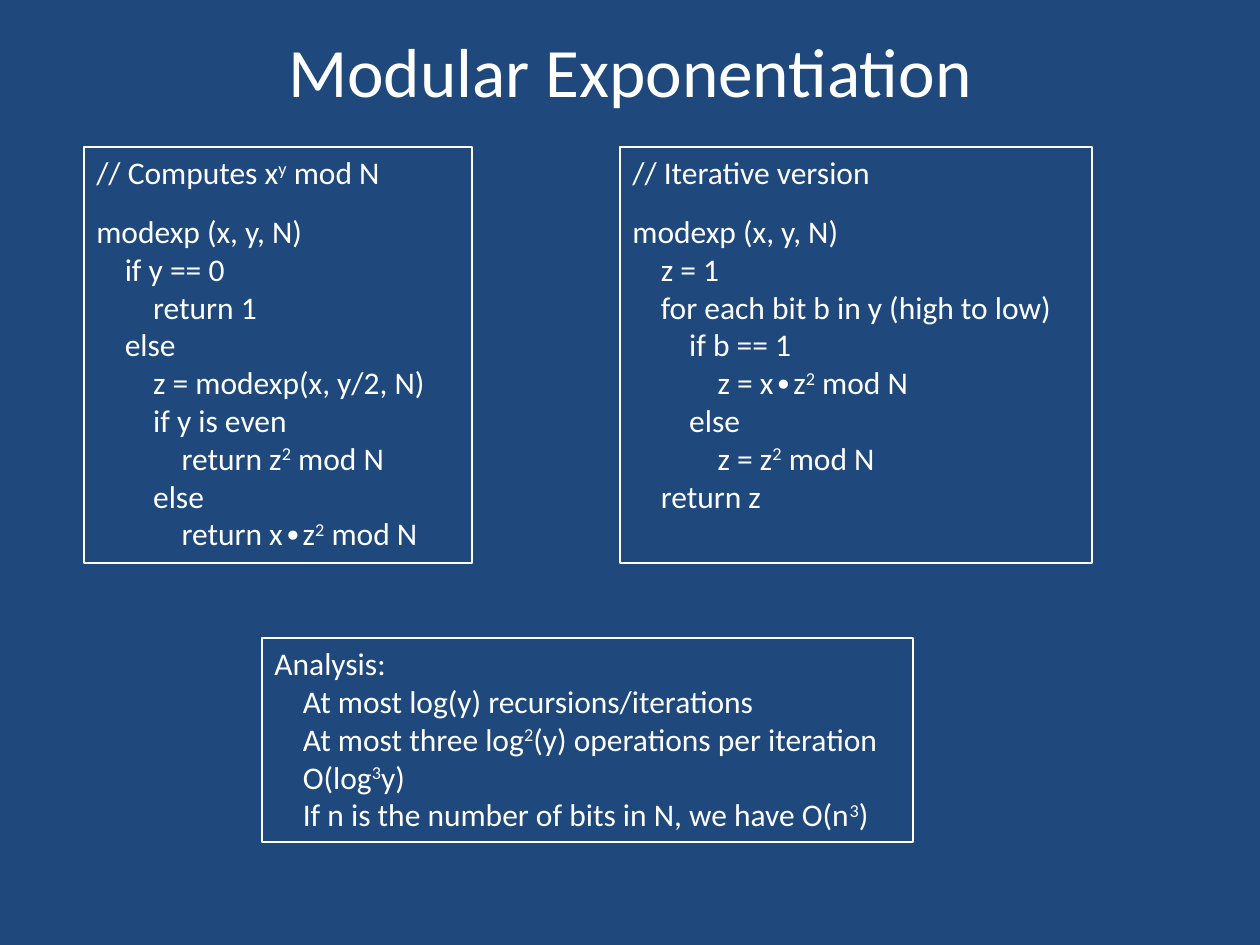
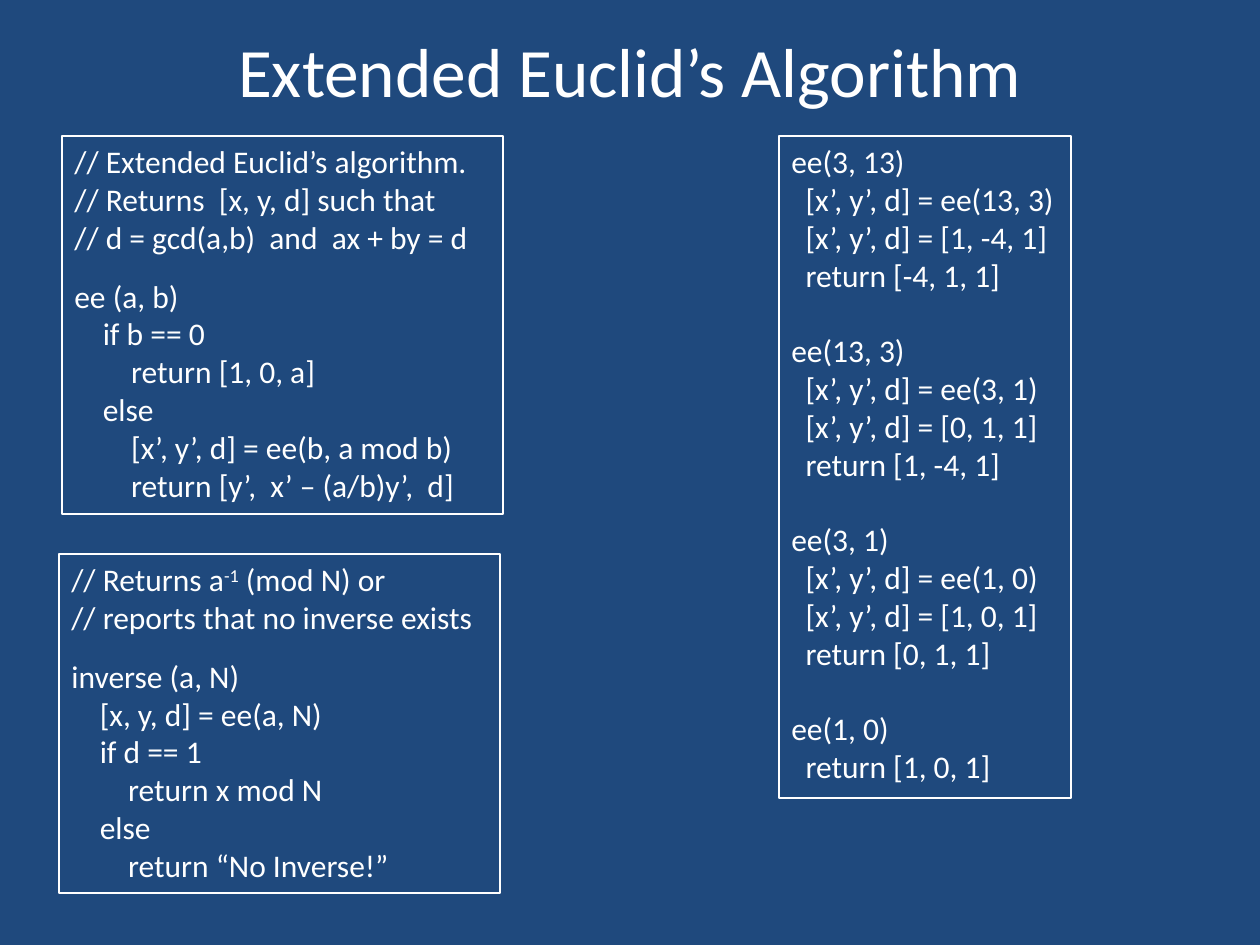
from pptx import Presentation
from pptx import util as u
from pptx.dml.color import RGBColor
from pptx.enum import shapes, text
from pptx.text.text import Font

PIXEL = u.Inches(1) / 126
COLOURS = {"background": "1F497D", "ink": "FFFFFF"}
FACE = "Calibri"
TITLE_BOX = (63, 21, 1134, 98)
SPACE_WIDTH = 7.1       # one leading space of code
SECTION_GAP = 12        # points between a comment and its code
TRACE_GAP = 21.6        # points between calls, one full line

RECURSIVE = """\
// Computes x^y^ mod N

modexp (x, y, N)
    if y == 0
        return 1
    else
        z = modexp(x, y/2, N)
        if y is even
            return z^2^ mod N
        else
            return x∙z^2^ mod N"""

ITERATIVE = """\
// Iterative version

modexp (x, y, N)
    z = 1
    for each bit b in y (high to low)
        if b == 1
            z = x∙z^2^ mod N
        else
            z = z^2^ mod N
    return z"""

ANALYSIS = """\
Analysis:
    At most log(y) recursions/iterations
    At most three log^2^(y) operations per iteration
    O(log^3^y)
    If n is the number of bits in N, we have O(n^3^)"""

EUCLID = """\
// Extended Euclid’s algorithm.
// Returns  [x, y, d] such that
// d = gcd(a,b)  and  ax + by = d

ee (a, b)
    if b == 0
        return [1, 0, a]
    else
        [x’, y’, d] = ee(b, a mod b)
        return [y’,  x’ – (a/b)y’,  d]"""

INVERSE = """\
// Returns a^-1^ (mod N) or
// reports that no inverse exists

inverse (a, N)
    [x, y, d] = ee(a, N)
    if d == 1
        return x mod N
    else
        return “No Inverse!”"""

TRACE = """\
ee(3, 13)
  [x’, y’, d] = ee(13, 3)
  [x’, y’, d] = [1, -4, 1]
  return [-4, 1, 1]

ee(13, 3)
  [x’, y’, d] = ee(3, 1)
  [x’, y’, d] = [0, 1, 1]
  return [1, -4, 1]

ee(3, 1)
  [x’, y’, d] = ee(1, 0)
  [x’, y’, d] = [1, 0, 1]
  return [0, 1, 1]

ee(1, 0)
  return [1, 0, 1]"""


def px(pixels):
    """Turn pixels into EMU."""
    return u.Emu(round(pixels * PIXEL))


def colour(name):
    """Look up a named colour."""
    return RGBColor.from_string(COLOURS[name])


def style_font(font, size):
    """Give a font the deck's face and ink."""
    font.name = FACE
    font.size = u.Pt(size)
    font.color.rgb = colour("ink")


def set_theme(prs, layout):
    """Define the background and title style that all slides inherit."""
    master = prs.slide_master
    fill = master.background.fill
    fill.solid()
    fill.fore_color.rgb = colour("background")
    defaults = master.element.xpath(".//p:titleStyle/a:lvl1pPr/a:defRPr")[0]
    style_font(Font(defaults), 39.6)
    heading = layout.placeholders[0]
    heading.left, heading.top, heading.width, heading.height = map(px, TITLE_BOX)


def write_line(paragraph, line):
    """Write one line of code; carets enclose superscripts."""
    code = line.lstrip(" ")
    paragraph.alignment = text.PP_ALIGN.LEFT
    style_font(paragraph.font, 18)
    indent = px((len(line) - len(code)) * SPACE_WIDTH)
    properties = paragraph._p.get_or_add_pPr()
    properties.set("marL", str(indent))
    properties.set("indent", "0")
    for position, part in enumerate(code.split("^")):
        if part:
            run = paragraph.add_run()
            run.text = part
            if position % 2:
                run._r.get_or_add_rPr().set("baseline", "30000")


def add_code_box(slide, box, listing, gap=SECTION_GAP):
    """Draw an outlined listing; an empty line in it becomes a gap."""
    panel = slide.shapes.add_shape(shapes.MSO_SHAPE.RECTANGLE, *map(px, box))
    panel.shadow.inherit = False
    panel.fill.background()
    panel.line.color.rgb = colour("ink")
    panel.line.width = u.Pt(0.75)
    frame = panel.text_frame
    frame.word_wrap = True
    frame.vertical_anchor = text.MSO_ANCHOR.TOP
    for block_number, block in enumerate(listing.split("\n\n")):
        for line_number, line in enumerate(block.split("\n")):
            first = block_number == line_number == 0
            paragraph = frame.paragraphs[0] if first else frame.add_paragraph()
            write_line(paragraph, line)
            if block_number and not line_number:
                paragraph.space_before = u.Pt(gap)


def add_titled_slide(prs, layout, title):
    """Add a slide with its title."""
    slide = prs.slides.add_slide(layout)
    slide.shapes.title.text = title
    return slide


def build_exponentiation(prs, layout):
    """Two versions of modular exponentiation over their analysis."""
    slide = add_titled_slide(prs, layout, "Modular Exponentiation")
    top, height = 147, 416
    add_code_box(slide, (84, top, 388, height), RECURSIVE)
    add_code_box(slide, (620, top, 472, height), ITERATIVE)
    add_code_box(slide, (262, 638, 651, 204), ANALYSIS)


def build_euclid(prs, layout):
    """Euclid's algorithm and the inverse beside a worked trace."""
    slide = add_titled_slide(prs, layout, "Extended Euclid’s Algorithm")
    top, width = 136, 441
    add_code_box(slide, (62, top, width, 378), EUCLID)
    add_code_box(slide, (779, top, 292, 662), TRACE, TRACE_GAP)
    add_code_box(slide, (59, 554, width, 339), INVERSE)


def main():
    """Build the deck and save it."""
    prs = Presentation()
    prs.slide_width, prs.slide_height = px(1260), px(945)
    layout = prs.slide_layouts.get_by_name("Title Only")
    set_theme(prs, layout)
    build_exponentiation(prs, layout)
    build_euclid(prs, layout)
    prs.save("out.pptx")


main()
